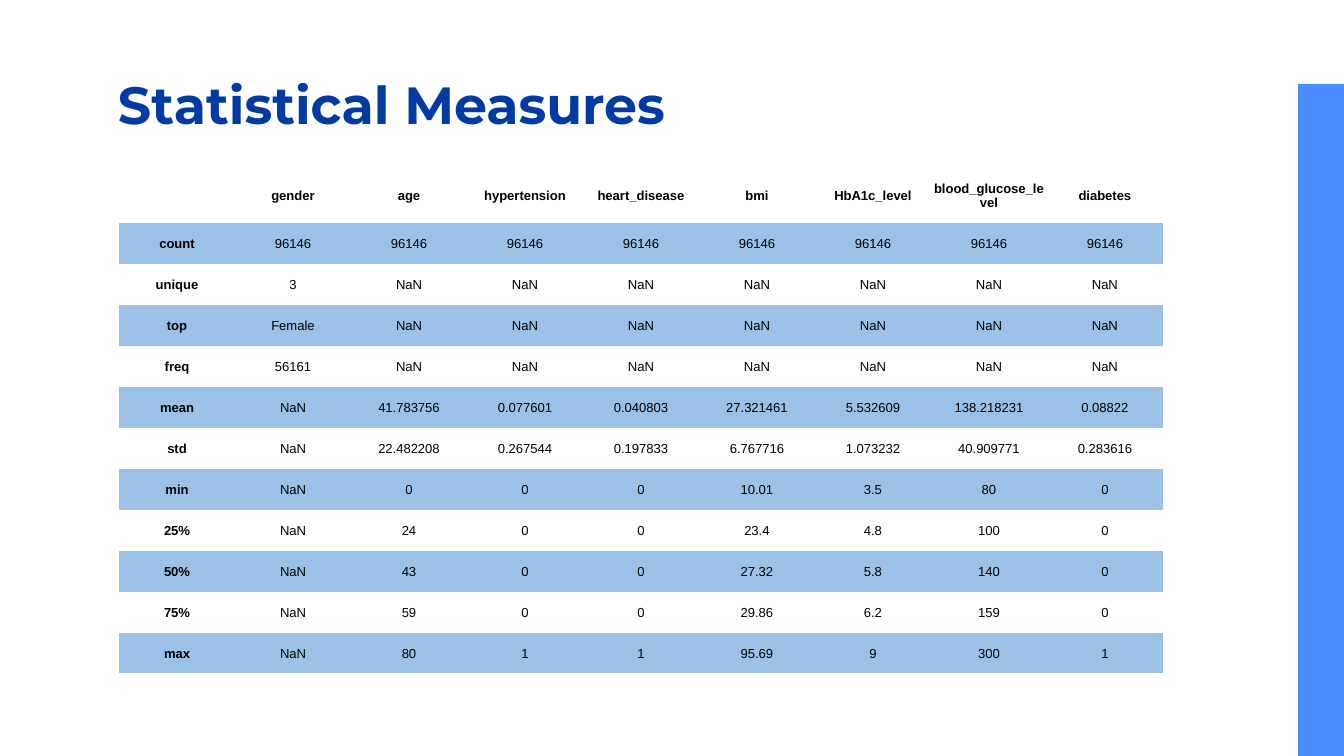
from pptx import Presentation
from pptx.dml.color import RGBColor
from pptx.enum.shapes import MSO_SHAPE
from pptx.enum.text import MSO_ANCHOR, PP_ALIGN
from pptx.oxml.ns import qn
from pptx.util import Pt

EMU_PER_PX = 914400 / 134.4
NAVY = RGBColor(0x00, 0x3B, 0xA3)
ACCENT = RGBColor(0x4A, 0x8C, 0xFF)
BAND = RGBColor(0x9B, 0xC2, 0xE6)
WHITE = RGBColor(0xFF, 0xFF, 0xFF)
BLACK = RGBColor(0x00, 0x00, 0x00)
NO_GRID_STYLE = "{2D5ABB26-0587-4C30-8999-92F81FD0307C}"

MEASURES = [
    ["", "gender", "age", "hypertension", "heart_disease", "bmi",
     "HbA1c_level", "blood_glucose_level", "diabetes"],
    ["count"] + ["96146"] * 8,
    ["unique", "3"] + ["NaN"] * 7,
    ["top", "Female"] + ["NaN"] * 7,
    ["freq", "56161"] + ["NaN"] * 7,
    ["mean", "NaN", "41.783756", "0.077601", "0.040803", "27.321461",
     "5.532609", "138.218231", "0.08822"],
    ["std", "NaN", "22.482208", "0.267544", "0.197833", "6.767716",
     "1.073232", "40.909771", "0.283616"],
    ["min", "NaN", "0", "0", "0", "10.01", "3.5", "80", "0"],
    ["25%", "NaN", "24", "0", "0", "23.4", "4.8", "100", "0"],
    ["50%", "NaN", "43", "0", "0", "27.32", "5.8", "140", "0"],
    ["75%", "NaN", "59", "0", "0", "29.86", "6.2", "159", "0"],
    ["max", "NaN", "80", "1", "1", "95.69", "9", "300", "1"],
]


def px(length):
    return round(length * EMU_PER_PX)


def style_run(run, font_name, size, color, bold):
    font = run.font
    font.name, font.size, font.bold = font_name, Pt(size), bold
    font.color.rgb = color


def add_side_bar(slide, left, top, width, height):
    # The bar lies flat and is turned upright about its centre
    flat_left = left + (width - height) / 2
    flat_top = top + (height - width) / 2
    bar = slide.shapes.add_shape(MSO_SHAPE.RECTANGLE, px(flat_left), px(flat_top),
                                 px(height), px(width))
    bar.rotation = 90
    bar.shadow.inherit = False
    bar.fill.solid()
    bar.fill.fore_color.rgb = ACCENT
    bar.line.fill.background()


def add_heading(slide, text, left, top, width, height):
    heading = slide.shapes.title
    heading.left, heading.top = px(left), px(top)
    heading.width, heading.height = px(width), px(height)
    frame = heading.text_frame
    frame.text = text
    frame.word_wrap = True
    frame.vertical_anchor = MSO_ANCHOR.MIDDLE
    frame.margin_left = frame.margin_right = px(13)
    frame.margin_top = frame.margin_bottom = px(13)
    paragraph = frame.paragraphs[0]
    paragraph.alignment = PP_ALIGN.LEFT
    paragraph.line_spacing = 1.0
    style_run(paragraph.runs[0], "Montserrat", 28, NAVY, True)


def fill_cell(cell, text, color, bold):
    cell.fill.solid()
    cell.fill.fore_color.rgb = color
    cell.margin_left = cell.margin_right = cell.margin_top = px(1)
    cell.margin_bottom = 0
    cell.vertical_anchor = MSO_ANCHOR.MIDDLE
    if text:
        cell.text = text
        paragraph = cell.text_frame.paragraphs[0]
        paragraph.alignment = PP_ALIGN.CENTER
        style_run(paragraph.runs[0], "Arial", 7, BLACK, bold)


def add_measures(slide, rows, left, top, width, height, header_height):
    row_count, column_count = len(rows), len(rows[0])
    measures = slide.shapes.add_table(row_count, column_count, px(left), px(top),
                                      px(width), px(height)).table
    measures.first_row = measures.horz_banding = False
    measures._tbl.tblPr.find(qn("a:tableStyleId")).text = NO_GRID_STYLE
    for column in measures.columns:
        column.width = px(width / column_count)
    body_height = (height - header_height) / (row_count - 1)
    for r, row in enumerate(rows):
        measures.rows[r].height = px(body_height if r else header_height)
        for c, text in enumerate(row):
            fill_cell(measures.cell(r, c), text, BAND if r % 2 else WHITE,
                      r == 0 or c == 0)


presentation = Presentation()
presentation.slide_width, presentation.slide_height = px(1344), px(756)
slide = presentation.slides.add_slide(presentation.slide_layouts[5])

add_side_bar(slide, left=1298, top=84, width=46, height=672)
add_heading(slide, "Statistical Measures", left=105, top=56, width=1133, height=96)
add_measures(slide, MEASURES, left=119, top=168, width=1044, height=506,
             header_height=55)

presentation.save("out.pptx")
